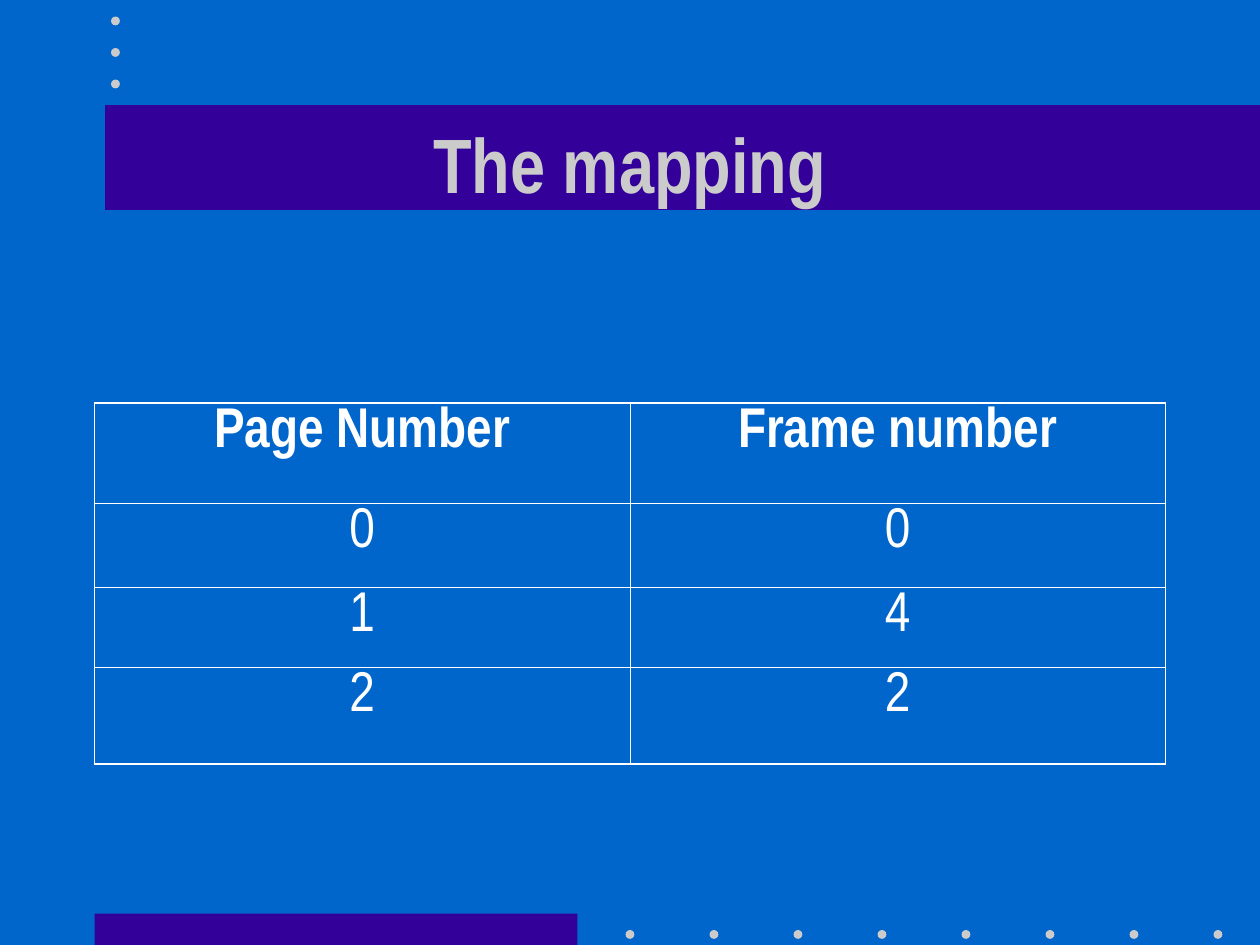
from lxml import etree
from pptx import Presentation
from pptx import util as u
from pptx.dml.color import RGBColor
from pptx.enum import shapes, text
from pptx.oxml import ns

BLUE = RGBColor(0x00, 0x66, 0xCC)
PURPLE = RGBColor(0x33, 0x00, 0x99)
GREY = RGBColor(0xCB, 0xCB, 0xCB)
WHITE = RGBColor(0xFF, 0xFF, 0xFF)
FONT = "Arial Narrow"

# The slide is a grid of 120 columns by 90 rows
COLS, ROWS = 120, 90
CELL = u.Inches(10) // COLS
DOT = 0.84

MAPPING = [
    ("Page Number", "Frame number"),
    ("0", "0"),
    ("1", "4"),
    ("2", "2"),
]
ROW_SHARES = (9.55, 8, 7.6, 9.25)
OUTER, INNER = 1.08, 0.45


def grid(*lengths):
    return [round(length * CELL) for length in lengths]


def add_filled(slide, preset, box, color):
    part = slide.shapes.add_shape(preset, *grid(*box))
    part.shadow.inherit = False
    part.fill.solid()
    part.fill.fore_color.rgb = color
    part.line.fill.background()


def add_dots(slide, first, step, count):
    """Row of dots, given the first centre and the step between centres."""
    for i in range(count):
        left, top = (start + i * gap - DOT / 2 for start, gap in zip(first, step))
        add_filled(slide, shapes.MSO_SHAPE.OVAL, (left, top, DOT, DOT), GREY)


def write(paragraph, words, size, color, bold):
    paragraph.alignment = text.PP_ALIGN.CENTER
    run = paragraph.add_run()
    run.text = words
    run.font.name = FONT
    run.font.size = u.Pt(size)
    run.font.bold = bold
    run.font.color.rgb = color


def add_footer(slide, box):
    left, top, width, height = box
    add_filled(slide, shapes.MSO_SHAPE.RECTANGLE, box, PURPLE)
    add_dots(slide, (left + width + 5, top + 2), (8, 0), 8)


def add_header(slide, box):
    left, top, width, height = box
    add_filled(slide, shapes.MSO_SHAPE.RECTANGLE, box, PURPLE)
    add_dots(slide, (left + 1, top - 8), (0, 3), 3)


def add_title(slide, box, words):
    frame = slide.shapes.add_textbox(*grid(*box)).text_frame
    frame.word_wrap = True
    frame.vertical_anchor = text.MSO_ANCHOR.MIDDLE
    write(frame.paragraphs[0], words, 44, GREY, True)


def set_borders(cell, widths):
    properties = cell._tc.get_or_add_tcPr()
    for side, width in widths.items():
        line = etree.SubElement(properties, ns.qn(f"a:ln{side}"), w=str(u.Pt(width)))
        fill = etree.SubElement(line, ns.qn("a:solidFill"))
        etree.SubElement(fill, ns.qn("a:srgbClr"), val=str(WHITE))


def add_mapping_table(slide, box):
    last_row, last_col = len(MAPPING) - 1, len(MAPPING[0]) - 1
    table = slide.shapes.add_table(last_row + 1, last_col + 1, *grid(*box)).table
    table.first_row = table.horz_banding = False
    for row, share in zip(table.rows, ROW_SHARES):
        row.height = round(share * CELL)
    for r, record in enumerate(MAPPING):
        for c, words in enumerate(record):
            cell = table.cell(r, c)
            edges = {"L": c == 0, "R": c == last_col, "T": r == 0, "B": r == last_row}
            set_borders(cell, {s: OUTER if edge else INNER for s, edge in edges.items()})
            cell.fill.background()
            paragraph = cell.text_frame.paragraphs[0]
            paragraph.line_spacing = 0.9
            write(paragraph, words, 32, WHITE, r == 0)


def main():
    deck = Presentation()
    deck.slide_width, deck.slide_height = grid(COLS, ROWS)
    slide = deck.slides.add_slide(deck.slide_layouts[6])
    slide.background.fill.solid()
    slide.background.fill.fore_color.rgb = BLUE

    add_footer(slide, (9, 87, 46, 3))
    add_header(slide, (10, 10, 110, 10))
    add_title(slide, (9, 8, 102, 15), "The mapping")
    add_mapping_table(slide, (9, 38.4, 102, sum(ROW_SHARES)))
    deck.save("out.pptx")


if __name__ == "__main__":
    main()
